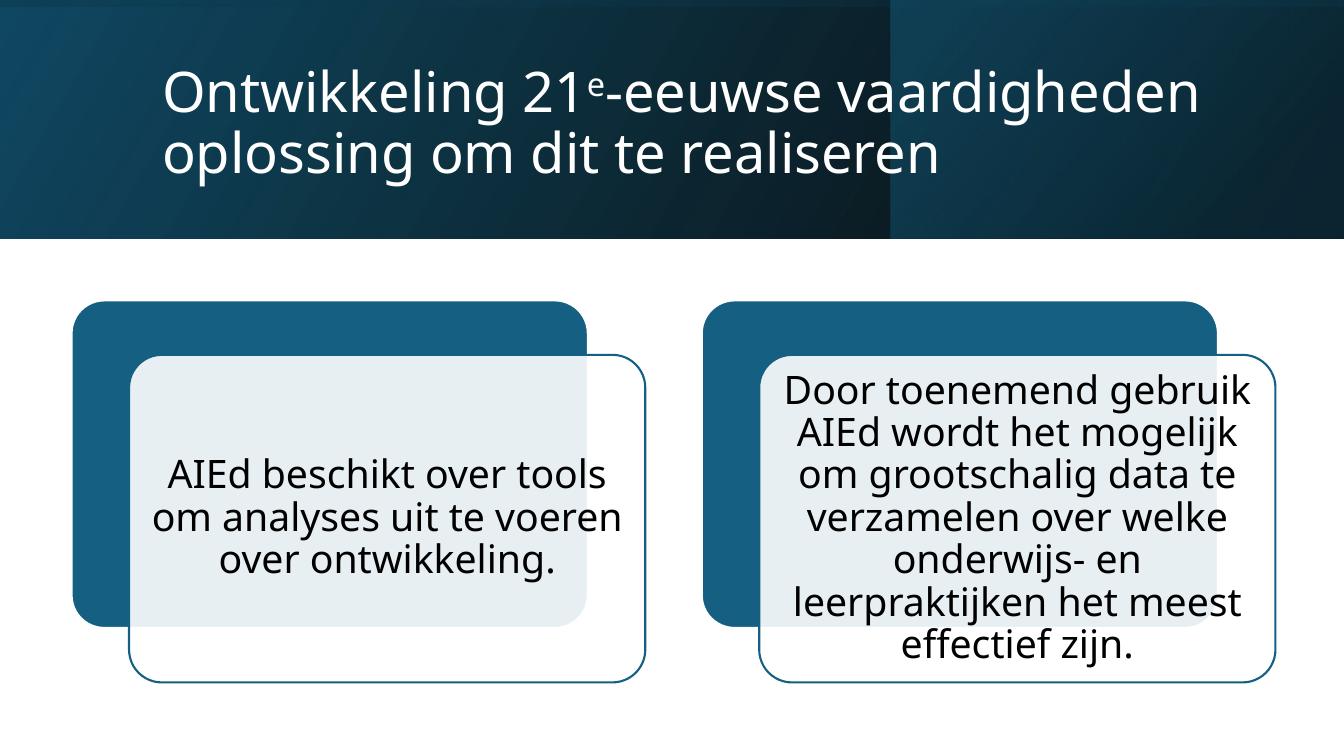
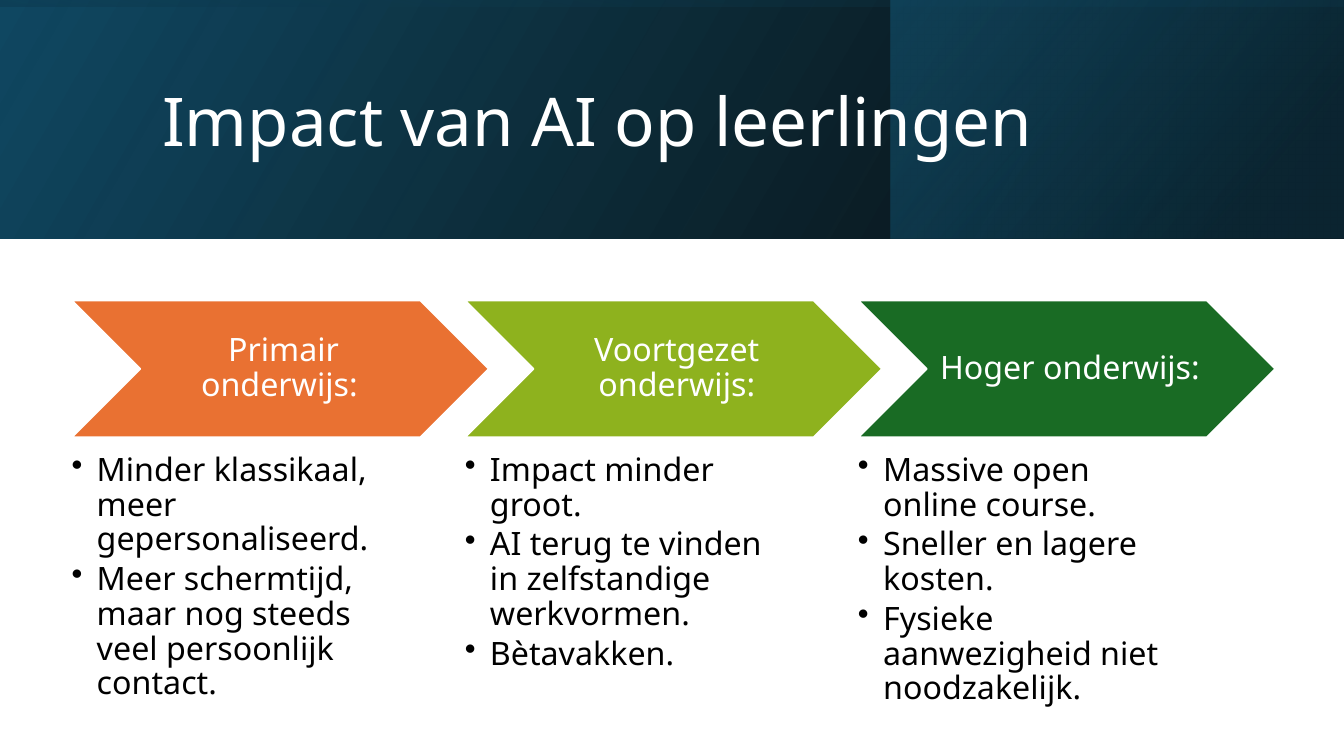
"""Build two slides on AI in education with a shared gradient title band."""
import pptx
import pptx.dml.color
import pptx.enum.shapes
import pptx.enum.text
import pptx.oxml.ns
import pptx.util
from lxml import etree
from dataclasses import dataclass

INCH = pptx.util.Inches
KIND = pptx.enum.shapes.MSO_SHAPE
ALIGN = pptx.enum.text.PP_ALIGN
ANCHOR = pptx.enum.text.MSO_ANCHOR


@dataclass(frozen=True)
class Theme:
    font: str = "Noto Sans"
    black: str = "000000"
    white: str = "FFFFFF"
    blue: str = "156082"
    navy: str = "104862"
    deep: str = "0B3041"
    orange: str = "E97132"
    lime: str = "8EB21E"
    green: str = "196B24"
    card: int = 28
    step: int = 23
    line: float = 1.5
    lead: float = 0.9


T = Theme()
WIDE, HIGH = 13.33, 7.5
BAND = 2.37
LEFT, TOP, SPAN = 0.71, 2.98, 11.94

SKILLS = [("Ontwikkeling 21", 0), ("e", 30),
          ("-eeuwse vaardigheden oplossing om dit te realiseren", 0)]
CARDS = [
    "AIEd beschikt over tools om analyses uit te voeren over ontwikkeling.",
    "Door toenemend gebruik AIEd wordt het mogelijk om grootschalig data te "
    "verzamelen over welke onderwijs- en leerpraktijken het meest effectief zijn.",
]
IMPACT = [("Impact van AI op leerlingen", 0)]
STEPS = [
    ("Primair onderwijs: ", T.orange,
     ["Minder klassikaal, meer gepersonaliseerd.",
      "Meer schermtijd, maar nog steeds veel persoonlijk contact."]),
    ("Voortgezet onderwijs:", T.lime,
     ["Impact minder groot.",
      "AI terug te vinden in zelfstandige werkvormen.", "Bètavakken."]),
    ("Hoger onderwijs:", T.green,
     ["Massive open online course.", "Sneller en lagere kosten.",
      "Fysieke aanwezigheid niet noodzakelijk."]),
]
BANDS = [
    ((0, 0, WIDE, BAND), 0, 330, [(0, T.black, 96), (100, T.navy, 100)]),
    ((WIDE * 0.663, 0, WIDE * 0.337, BAND), 0, 320,
     [(19, T.deep, 68), (100, T.blue, 48)]),
    (((WIDE - BAND) / 2, (BAND - WIDE) / 2, BAND, WIDE), 270, 350,
     [(23, T.navy, 16), (99, T.black, 45)]),
]
BANDS[0][3][1] = (100, T.navy, 100)


def rgb(code):
    return pptx.dml.color.RGBColor.from_string(code)


def sub(node, tag, **attrs):
    return etree.SubElement(node, pptx.oxml.ns.qn(tag), **attrs)


def fade(shape, *shares):
    tints = list(shape.element.spPr.iter(pptx.oxml.ns.qn("a:srgbClr")))
    for tint, share in zip(tints, shares):
        sub(tint, "a:alpha", val=str(share * 1000))


def draw(slide, kind, box, fill=None, line=None):
    shape = slide.shapes.add_shape(kind, *map(INCH, box))
    shape.shadow.inherit = False
    if fill:
        shape.fill.solid()
        shape.fill.fore_color.rgb = rgb(fill)
    if line:
        shape.line.color.rgb = rgb(line)
        shape.line.width = pptx.util.Pt(T.line)
    else:
        shape.line.fill.background()
    return shape


def write(shape, paras, size, color=T.black, align=ALIGN.LEFT,
          anchor=ANCHOR.MIDDLE, pad=(0.1, 0.05, 0.1, 0.05), after=0, bullet=False):
    frame = shape.text_frame
    frame.word_wrap = True
    frame.vertical_anchor = anchor
    (frame.margin_left, frame.margin_top,
     frame.margin_right, frame.margin_bottom) = map(INCH, pad)
    for i, runs in enumerate(paras):
        para = frame.add_paragraph() if i else frame.paragraphs[0]
        para.alignment = align
        para.line_spacing = T.lead
        para.space_after = pptx.util.Pt(after)
        if bullet:
            props = para._p.get_or_add_pPr()
            props.set("marL", str(INCH(0.25)))
            props.set("indent", str(-INCH(0.25)))
            sub(props, "a:buChar", char="•")
        for text, lift in runs:
            run = para.add_run()
            run.text = text
            run.font.name = T.font
            run.font.size = pptx.util.Pt(size)
            run.font.color.rgb = rgb(color)
            if lift:
                run._r.get_or_add_rPr().set("baseline", str(lift * 1000))


def label(slide, box, paras, size, **style):
    write(slide.shapes.add_textbox(*map(INCH, box)), paras, size, **style)


def start(deck, title, size):
    slide = deck.slides.add_slide(deck.slide_layouts[6])
    for box, turn, angle, stops in BANDS:
        band = draw(slide, KIND.RECTANGLE, box)
        band.rotation = turn
        band.element.spPr.xfrm.set("flipH", "1")
        band.fill.gradient()
        band.fill.gradient_angle = 360 - angle
        for stop, (place, color, share) in zip(band.fill.gradient_stops, stops):
            stop.position = place / 100
            stop.color.rgb = rgb(color)
        fade(band, *[share for place, color, share in stops])
    label(slide, (1.51, 0.38, 10.63, 1.72), [title], size, color=T.white)
    return slide


def cards(slide):
    wide, high, dx, dy = 5.12, 3.25, 0.57, 0.54
    pitch = (SPAN - wide - dx) / (len(CARDS) - 1)
    for i, text in enumerate(CARDS):
        x = LEFT + i * pitch
        back = draw(slide, KIND.ROUNDED_RECTANGLE, (x, TOP, wide, high),
                    T.blue, T.white)
        front = draw(slide, KIND.ROUNDED_RECTANGLE,
                     (x + dx, TOP + dy, wide, high), T.white, T.blue)
        for shape in (back, front):
            shape.adjustments[0] = 0.1
        fade(front, 90)
        write(front, [[(text, 0)]], T.card, align=ALIGN.CENTER, pad=(0.12,) * 4)


def steps(slide):
    wide, high = 4.14, 1.36
    pitch = (SPAN - wide) / (len(STEPS) - 1)
    for i, (head, color, points) in enumerate(STEPS):
        x = LEFT + i * pitch
        arrow = draw(slide, KIND.CHEVRON, (x, TOP, wide, high), color, T.white)
        write(arrow, [[(head, 0)]], T.step, color=T.white, align=ALIGN.CENTER,
              pad=(0.1, 0.03, 0.03, 0.03))
        label(slide, (x, 4.5, wide * 0.8, 2.28), [[(p, 0)] for p in points],
              T.step, anchor=ANCHOR.TOP, pad=(0,) * 4, after=3.5, bullet=True)


def main():
    deck = pptx.Presentation()
    deck.slide_width, deck.slide_height = INCH(WIDE), INCH(HIGH)
    cards(start(deck, SKILLS, 40))
    steps(start(deck, IMPACT, 48))
    deck.save("out.pptx")


if __name__ == "__main__":
    main()
